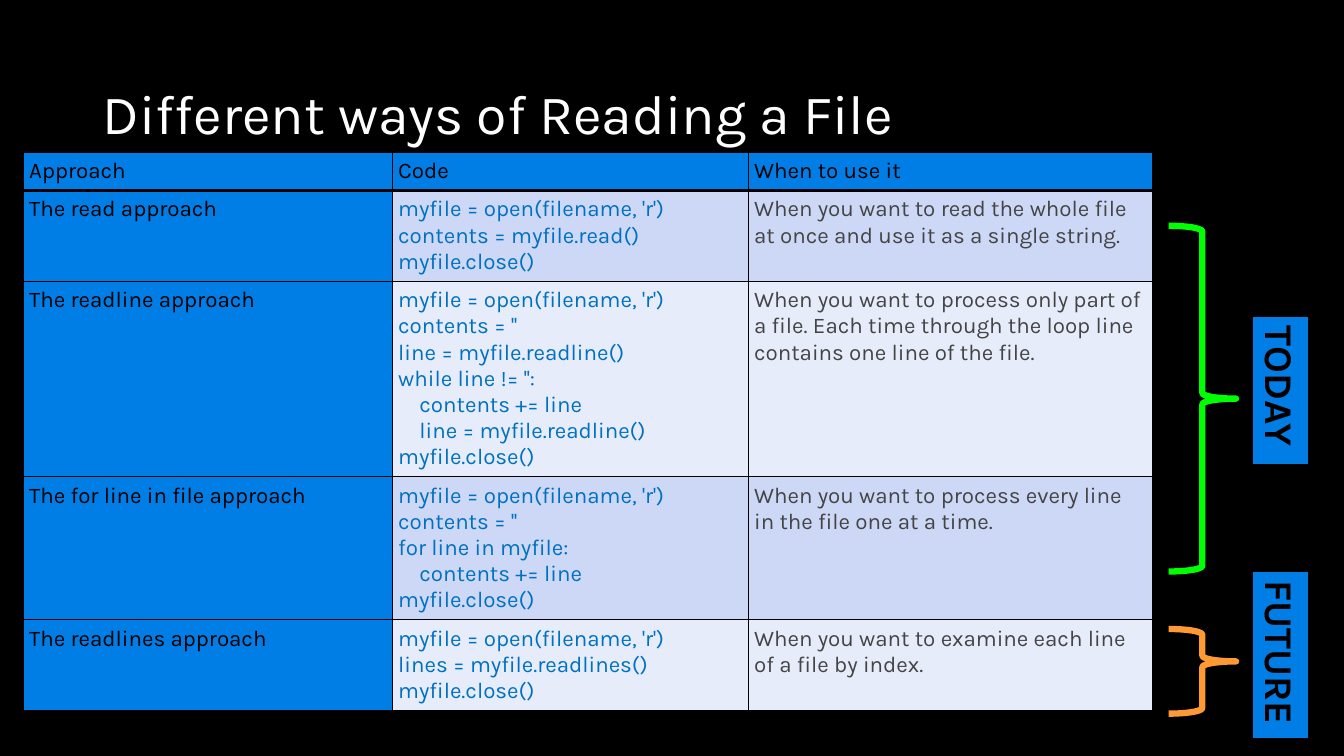
from lxml.etree import SubElement
from pptx import Presentation
from pptx.dml.color import RGBColor
from pptx.enum.shapes import MSO_SHAPE
from pptx.enum.text import MSO_ANCHOR, MSO_AUTO_SIZE, PP_ALIGN
from pptx.oxml.ns import qn
from pptx.util import Inches, Pt

TITLE = "Different ways of Reading a File"
HEADINGS = ("Approach", "Code", "When to use it")
APPROACHES = [
    ("The read approach",
     """myfile = open(filename, 'r')
contents = myfile.read()
myfile.close()""",
     "When you want to read the whole file at once and use it as a single string."),
    ("The readline approach",
     """myfile = open(filename, 'r')
contents = ''
line = myfile.readline()
while line != '':
    contents += line
    line = myfile.readline()
myfile.close()""",
     "When you want to process only part of a file. "
     "Each time through the loop line contains one line of the file."),
    ("The for line in file approach",
     """myfile = open(filename, 'r')
contents = ''
for line in myfile:
    contents += line
myfile.close()""",
     "When you want to process every line in the file one at a time."),
    ("The readlines approach",
     """myfile = open(filename, 'r')
lines = myfile.readlines()
myfile.close()""",
     "When you want to examine each line of a file by index."),
]
COLUMN_WIDTHS = (3.66, 3.53, 4.01)
ROW_HEIGHTS = (0.37, 0.88, 1.94, 1.41, 0.89)
# top, height, point of the brace (share of its height), colour
BRACES = [(2.24, 3.43, 0.5, "00FF00"), (6.24, 0.84, 0.383, "FF9933")]
# text, length, middle of the label down the page
LABELS = [("TODAY", 1.48, 3.875), ("FUTURE", 1.67, 6.495)]
LABEL_CENTER, LABEL_THICKNESS = 12.7, 0.57

THEME = {
    "font": "Karla", "black": "000000", "white": "FFFFFF", "blue": "017EE5",
    "code": "0070C0", "note": "444445", "bands": ("CCD8F5", "E7ECFA"),
    "title_size": 39.6, "table_size": 16, "label_size": 28,
}


def color(name):
    return RGBColor.from_string(THEME.get(name, name))


def write(frame, text, size, ink, bold=False, **paragraph_format):
    """Fill a text frame, one paragraph to each line of text."""
    frame.text = text
    font_format = {"name": THEME["font"], "size": Pt(THEME[size]), "bold": bold}
    for para in frame.paragraphs:
        for key, value in paragraph_format.items():
            setattr(para, key, value)
        for span in para.runs:
            for key, value in font_format.items():
                setattr(span.font, key, value)
            span.font.color.rgb = color(ink)


def draw_borders(cell, widths):
    properties = cell._tc.get_or_add_tcPr()
    for side, width in zip("LRTB", widths):
        line = SubElement(properties, qn(f"a:ln{side}"), w=str(Pt(width)))
        fill = SubElement(line, qn("a:solidFill"))
        SubElement(fill, qn("a:srgbClr"), val=THEME["black"])


def add_title(page):
    title = page.shapes.title
    place = {"left": 0.92, "top": 0.8, "width": 11.5, "height": 0.72}
    for key, value in place.items():
        setattr(title, key, Inches(value))
    title.text_frame.vertical_anchor = MSO_ANCHOR.MIDDLE
    write(title.text_frame, TITLE, "title_size", "white",
          alignment=PP_ALIGN.LEFT, line_spacing=0.9)


def add_approach_table(page):
    rows = [HEADINGS] + APPROACHES
    table = page.shapes.add_table(
        len(rows), len(HEADINGS), Inches(0.23), Inches(1.51),
        Inches(sum(COLUMN_WIDTHS)), Inches(sum(ROW_HEIGHTS))).table
    for column, width in zip(table.columns, COLUMN_WIDTHS):
        column.width = Inches(width)
    for row, height in zip(table.rows, ROW_HEIGHTS):
        row.height = Inches(height)

    for row_index, texts in enumerate(rows):
        header = row_index == 0
        for column_index, text in enumerate(texts):
            cell = table.cell(row_index, column_index)
            for side in ("left", "right", "top", "bottom"):
                setattr(cell, f"margin_{side}", Inches(0.06))
            top = 3 if row_index == 1 else 1
            draw_borders(cell, (1, 1, top, 3 if header else 1))
            labelled = header or column_index == 0
            band = THEME["bands"][(row_index - 1) % 2]
            cell.fill.solid()
            cell.fill.fore_color.rgb = color("blue" if labelled else band)
            ink = "black" if labelled else ("code", "note")[column_index - 1]
            is_code = column_index == 1 and not header
            write(cell.text_frame, text, "table_size", ink,
                  alignment=PP_ALIGN.JUSTIFY if header else PP_ALIGN.LEFT,
                  space_after=Pt(0 if is_code else 8))


def add_brace(page, top, height, point, ink):
    brace = page.shapes.add_shape(MSO_SHAPE.RIGHT_BRACE, Inches(11.59), Inches(top),
                                  Inches(0.67), Inches(height))
    brace.shadow.inherit = False
    brace.fill.background()
    brace.line.color.rgb = color(ink)
    brace.line.width = Pt(4.5)
    brace.adjustments[1] = point


def add_label(page, text, length, middle):
    label = page.shapes.add_shape(
        MSO_SHAPE.RECTANGLE, Inches(LABEL_CENTER - length / 2),
        Inches(middle - LABEL_THICKNESS / 2), Inches(length), Inches(LABEL_THICKNESS))
    label.rotation = 90
    label.shadow.inherit = False
    label.fill.solid()
    label.fill.fore_color.rgb = color("blue")
    label.line.color.rgb = color("black")
    label.line.width = Pt(1.5)
    frame_format = {"word_wrap": False, "vertical_anchor": MSO_ANCHOR.TOP,
                    "auto_size": MSO_AUTO_SIZE.SHAPE_TO_FIT_TEXT}
    for key, value in frame_format.items():
        setattr(label.text_frame, key, value)
    write(label.text_frame, text, "label_size", "black", bold=True,
          alignment=PP_ALIGN.LEFT)


def main():
    deck = Presentation()
    deck.slide_width, deck.slide_height = Inches(13.33), Inches(7.5)
    page = deck.slides.add_slide(deck.slide_layouts[5])
    page.background.fill.solid()
    page.background.fill.fore_color.rgb = color("black")
    add_title(page)
    add_approach_table(page)
    for brace in BRACES:
        add_brace(page, *brace)
    for label in LABELS:
        add_label(page, *label)
    deck.save("out.pptx")


if __name__ == "__main__":
    main()
